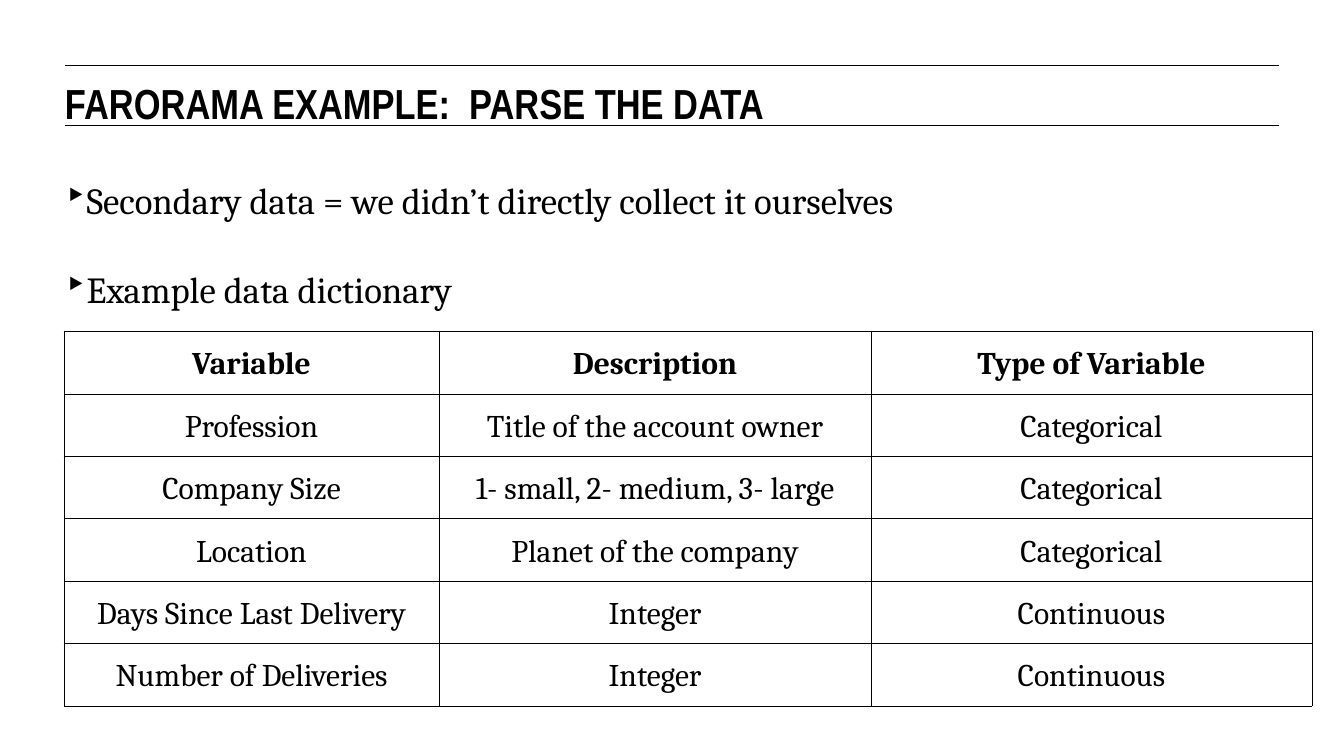
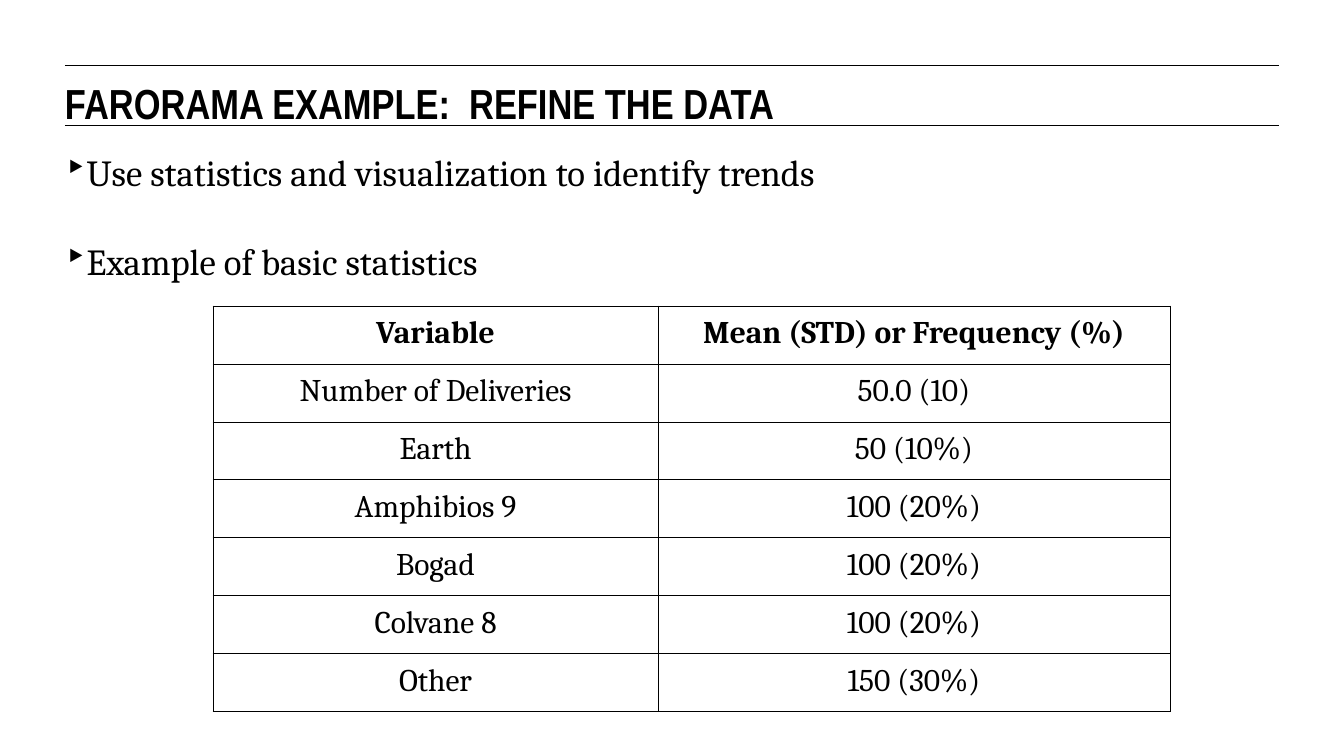
from dataclasses import dataclass

from lxml import etree
from pptx import Presentation
from pptx import util as u
from pptx.dml.color import RGBColor
from pptx.enum import shapes, text
from pptx.oxml import ns

EMU_PER_PX = 9676
SLIDE_W, SLIDE_H = 1344, 755
MARGIN, RULE_RIGHT = 65, 1279


@dataclass(frozen=True)
class Theme:
    ink: str = "000000"
    title_font: str = "Arial Narrow"
    body_font: str = "Cambria"
    title_size: int = 32
    bullet_size: int = 28
    table_size: int = 24
    line_width: float = 0.75


THEME = Theme()


def px(length):
    return u.Emu(length * EMU_PER_PX)


def add_xml(parent, tag, **attributes):
    return etree.SubElement(parent, ns.qn(tag), attributes)


# Text
def write(paragraph, words, font=THEME.body_font, size=THEME.table_size,
          bold=False, align=None, spacing=None, before=None):
    run = paragraph.add_run()
    run.text = words
    run.font.name = font
    run.font.size = u.Pt(size)
    run.font.bold = bold
    run.font.color.rgb = RGBColor.from_string(THEME.ink)
    if align is not None:
        paragraph.alignment = align
    if spacing is not None:
        paragraph.line_spacing = spacing
    if before is not None:
        paragraph.space_before = u.Pt(before)


def add_text_frame(slide, left, top, width, height):
    frame = slide.shapes.add_textbox(*map(px, (left, top, width, height))).text_frame
    frame.word_wrap = True
    frame.margin_left = frame.margin_right = 0
    frame.margin_top = frame.margin_bottom = 0
    return frame


def add_bullets(slide, top, lines):
    frame = add_text_frame(slide, MARGIN, top, RULE_RIGHT - MARGIN, 140)
    for index, line in enumerate(lines):
        paragraph = frame.add_paragraph() if index else frame.paragraphs[0]
        properties = paragraph._p.get_or_add_pPr()
        properties.set("marL", str(px(21)))
        properties.set("indent", str(px(-26)))
        add_xml(properties, "a:buChar", char="‣")
        write(paragraph, line, size=THEME.bullet_size, before=34 if index else None)


# Title between two rules
def add_rule(slide, y):
    rule = slide.shapes.add_connector(
        shapes.MSO_CONNECTOR.STRAIGHT, px(MARGIN), px(y), px(RULE_RIGHT), px(y))
    rule.line.color.rgb = RGBColor.from_string(THEME.ink)
    rule.line.width = u.Pt(THEME.line_width)
    add_xml(rule._element.spPr, "a:effectLst")


def add_titled_slide(deck, title):
    slide = deck.slides.add_slide(deck.slide_layouts[6])
    for y in (65, 126):
        add_rule(slide, y)
    frame = add_text_frame(slide, MARGIN, 78, 798, 44)
    write(frame.paragraphs[0], title, font=THEME.title_font,
          size=THEME.title_size, bold=True)
    return slide


# Table
def outline_cell(cell):
    cell.fill.background()
    properties = cell._tc.get_or_add_tcPr()
    for position, side in enumerate(("a:lnL", "a:lnR", "a:lnT", "a:lnB")):
        border = add_xml(properties, side, w=str(u.Pt(THEME.line_width)))
        add_xml(add_xml(border, "a:solidFill"), "a:srgbClr", val=THEME.ink)
        properties.insert(position, border)


def add_grid(slide, left, top, widths, heights, rows, spacing=None):
    grid = slide.shapes.add_table(
        len(rows), len(widths), px(left), px(top),
        px(sum(widths)), px(sum(heights))).table
    grid.first_row = grid.horz_banding = False
    for column, width in zip(grid.columns, widths):
        column.width = px(width)
    for row_index, (row, height) in enumerate(zip(rows, heights)):
        grid.rows[row_index].height = px(height)
        for column_index, words in enumerate(row):
            cell = grid.cell(row_index, column_index)
            cell.margin_left = cell.margin_right = u.Inches(0.1)
            cell.margin_top = cell.margin_bottom = u.Inches(0.1)
            outline_cell(cell)
            write(cell.text_frame.paragraphs[0], words, bold=row_index == 0,
                  align=text.PP_ALIGN.CENTER, spacing=spacing)


# Slides
def add_parse_slide(deck):
    slide = add_titled_slide(deck, "FARORAMA EXAMPLE:  PARSE THE DATA")
    add_bullets(slide, 178, ("Secondary data = we didn’t directly collect it ourselves",
                             "Example data dictionary"))
    dictionary = (
        ("Variable", "Description", "Type of Variable"),
        ("Profession", "Title of the account owner", "Categorical"),
        ("Company Size", "1- small, 2- medium, 3- large", "Categorical"),
        ("Location", "Planet of the company", "Categorical"),
        ("Days Since Last Delivery", "Integer", "Continuous"),
        ("Number of Deliveries", "Integer", "Continuous"),
    )
    add_grid(slide, 64, 331, (375, 432, 441), [63] + [60] * 5, dictionary, spacing=1.15)


def add_refine_slide(deck):
    slide = add_titled_slide(deck, "FARORAMA EXAMPLE:  REFINE THE DATA")
    add_bullets(slide, 150, ("Use statistics and visualization to identify trends",
                             "Example of basic statistics"))
    statistics = (
        ("Variable", "Mean (STD) or Frequency (%)"),
        ("Number of Deliveries", "50.0 (10)"),
        ("Earth", "50 (10%)"),
        ("Amphibios 9", "100 (20%)"),
        ("Bogad", "100 (20%)"),
        ("Colvane 8", "100 (20%)"),
        ("Other", "150 (30%)"),
    )
    add_grid(slide, 213, 306, (445, 512), [58] * len(statistics), statistics)


def main():
    deck = Presentation()
    deck.slide_width, deck.slide_height = px(SLIDE_W), px(SLIDE_H)
    add_parse_slide(deck)
    add_refine_slide(deck)
    deck.save("out.pptx")


if __name__ == "__main__":
    main()
